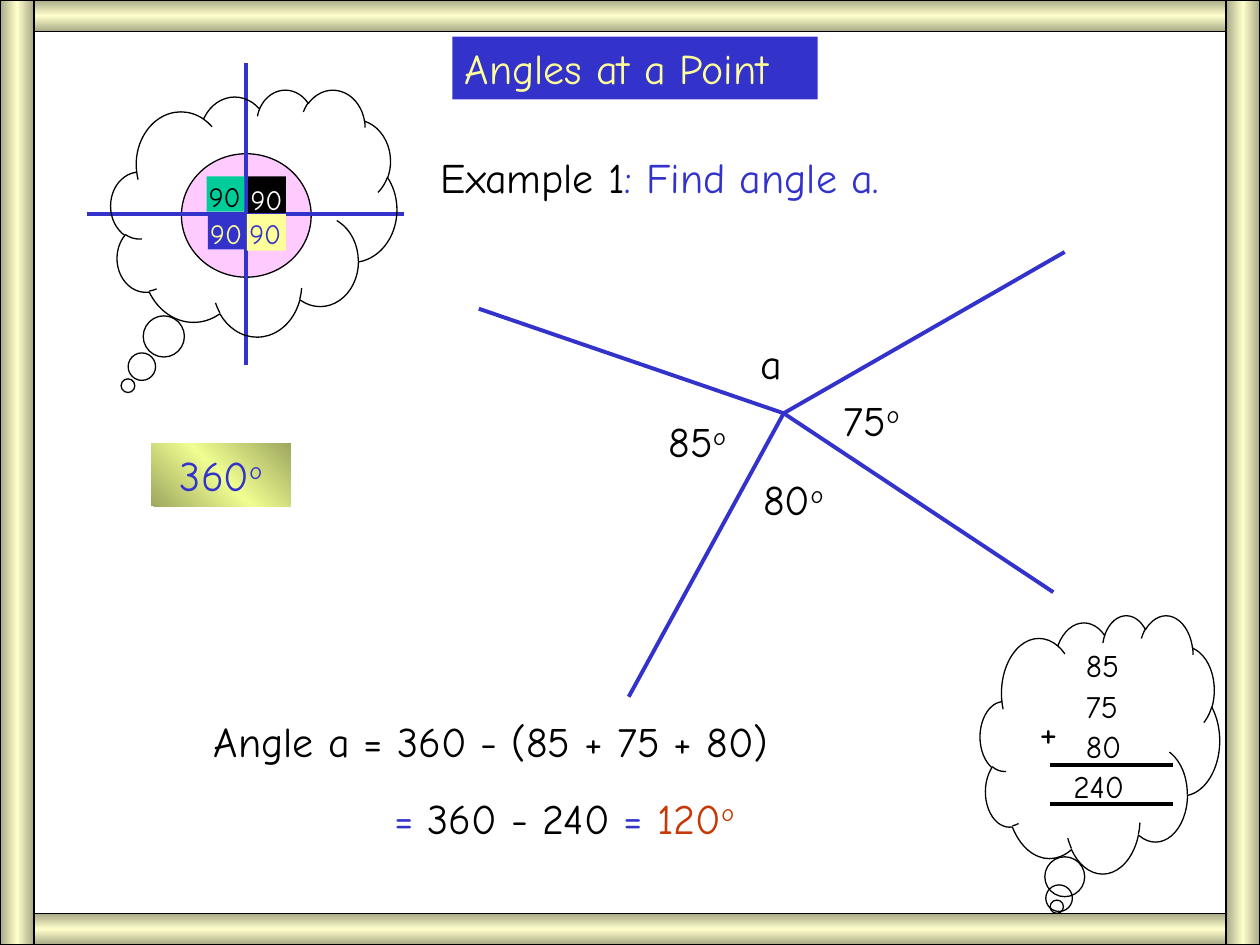
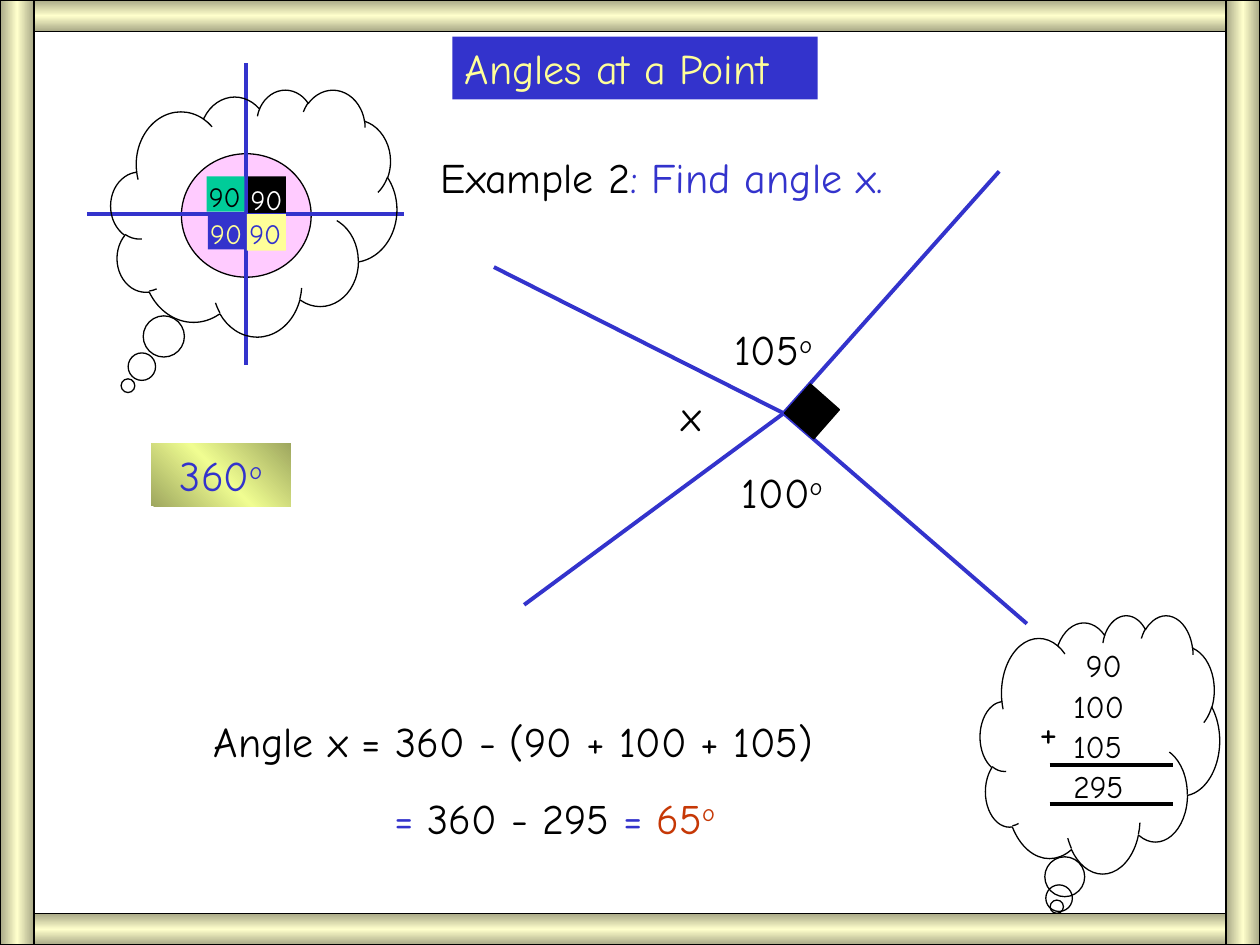
from lxml.etree import SubElement
from pptx import Presentation
from pptx.dml.color import RGBColor
from pptx.enum.shapes import MSO_CONNECTOR, MSO_SHAPE
from pptx.enum.text import MSO_ANCHOR, MSO_AUTO_SIZE, PP_ALIGN
from pptx.oxml.ns import qn
from pptx.util import Inches, Pt

COLORS = {
    "black": "000000",
    "white": "FFFFFF",
    "blue": "3333CC",
    "yellow": "FFFF99",
    "green": "00CC99",
    "pink": "FF99FF",
    "red": "C63806",
    "frame_edge": "A8A886",
    "frame_mid": "FFFFCC",
    "total_edge": "9EA75F",
    "total_mid": "F0FD91",
}
FONT = "Comic Neue"
DEGREE = "o"
POINT = (6.22, 3.28)

EXAMPLES = [
    {
        "number": 1,
        "unknown": "a",
        "known": [85, 75, 80],
        "rays": [(8.45, 2), (8.36, 4.7), (3.8, 2.45), (4.99, 5.53)],
        "labels": [("75", 6.6, 3.08), ("85", 5.21, 3.25), ("80", 5.96, 3.71)],
        "unknown_at": (5.94, 2.63),
        "right_angle": None,
    },
    {
        "number": 2,
        "unknown": "x",
        "known": [90, 100, 105],
        "rays": [(7.93, 1.36), (8.15, 4.95), (3.92, 2.12), (4.16, 4.8)],
        "labels": [("105", 5.73, 2.52), ("100", 5.79, 3.65)],
        "unknown_at": (5.31, 3.04),
        "right_angle": (6.29, 3.11, 0.31, 0.31),
    },
]


class Deck:
    def __init__(self):
        self.prs = Presentation()
        self.prs.slide_width, self.prs.slide_height = Inches(10), Inches(7.5)
        self.s = None

    def rgb(self, name):
        return RGBColor.from_string(COLORS[name])

    def new_slide(self):
        self.s = self.prs.slides.add_slide(self.prs.slide_layouts[6])

    def shape(self, kind, box, fill=None, line=None, alpha=None):
        sp = self.s.shapes.add_shape(kind, *map(Inches, box))
        sp.shadow.inherit = False
        if fill:
            sp.fill.solid()
            sp.fill.fore_color.rgb = self.rgb(fill)
        else:
            sp.fill.background()
        if alpha:
            color = sp.element.spPr.find(".//" + qn("a:srgbClr"))
            SubElement(color, qn("a:alpha")).set("val", str(alpha * 1000))
        if line:
            sp.line.color.rgb = self.rgb(line)
            sp.line.width = Pt(0.75)
        else:
            sp.line.fill.background()
        return sp

    def gradient(self, box, edge, mid, angle, line=None):
        sp = self.shape(MSO_SHAPE.RECTANGLE, box, line=line)
        sp.fill.gradient()
        grad = sp.element.spPr.find(qn("a:gradFill"))
        stops = grad.find(qn("a:gsLst"))
        for stop in list(stops):
            stops.remove(stop)
        for pos, name in ((0, edge), (50, mid), (100, edge)):
            stop = SubElement(stops, qn("a:gs"), pos=str(pos * 1000))
            SubElement(stop, qn("a:srgbClr"), val=COLORS[name])
        grad.find(qn("a:lin")).set("ang", str(angle * 60000))
        return sp

    def line(self, start, end, color="blue"):
        ends = map(Inches, (*start, *end))
        cx = self.s.shapes.add_connector(MSO_CONNECTOR.STRAIGHT, *ends)
        cx.line.color.rgb = self.rgb(color)
        cx.line.width = Pt(2.25)
        SubElement(cx.element.spPr, qn("a:effectLst"))

    def cloud(self, box, tail):
        sp = self.shape(MSO_SHAPE.CLOUD_CALLOUT, box, line="black")
        sp.adjustments[0], sp.adjustments[1] = tail

    def fill_text(self, sp, lines, size=24, align=PP_ALIGN.LEFT):
        tf = sp.text_frame
        tf.word_wrap = True
        tf.auto_size = MSO_AUTO_SIZE.SHAPE_TO_FIT_TEXT
        tf.vertical_anchor = MSO_ANCHOR.TOP
        for i, runs in enumerate(lines):
            p = tf.add_paragraph() if i else tf.paragraphs[0]
            p.alignment = align
            for text, color in runs:
                r = p.add_run()
                r.text = text
                r.font.name = FONT
                r.font.size = Pt(size)
                r.font.color.rgb = self.rgb(color)
                if text == DEGREE:
                    r._r.get_or_add_rPr().set("baseline", "30000")
        return tf

    def text(self, box, *lines, size=24):
        sp = self.s.shapes.add_textbox(*map(Inches, box))
        return self.fill_text(sp, lines, size)

    def frame(self):
        for top in (0, 7.25):
            self.gradient((0, top, 10, 0.25), "frame_edge", "frame_mid", 90, "black")
        for left in (9.73, 0):
            self.gradient((left, 0, 0.27, 7.5), "frame_edge", "frame_mid", 180, "black")

    def title(self, text):
        sp = self.shape(MSO_SHAPE.RECTANGLE, (3.59, 0.29, 2.9, 0.5), "blue")
        self.fill_text(sp, [[(text, "yellow")]])

    def full_turn(self):
        center = (1.95, 1.7)
        self.shape(MSO_SHAPE.OVAL, (1.44, 1.22, 1.03, 0.98), "pink", "black", 50)
        for end in ((1.95, 0.5), (3.21, 1.7), (0.69, 1.7), (1.95, 2.9)):
            self.line(center, end)
        quarters = [
            ((1.64, 1.4, 0.3, 0.28), "green", "black", (1.56, 1.38)),
            ((1.97, 1.4, 0.3, 0.29), "black", "white", (1.89, 1.4)),
            ((1.65, 1.7, 0.29, 0.28), "blue", "yellow", (1.57, 1.67)),
            ((1.96, 1.7, 0.31, 0.29), "yellow", "blue", (1.88, 1.67)),
        ]
        for box, fill, color, at in quarters:
            self.shape(MSO_SHAPE.RECTANGLE, box, fill)
            self.text((*at, 0.49, 0.37), [("90", color)], size=16)
        self.cloud((0.88, 0.71, 2.27, 1.96), (-0.44, 0.7))
        sp = self.gradient((1.2, 3.52, 1.11, 0.5), "total_edge", "total_mid", 135)
        self.fill_text(sp, [[("360", "blue"), (DEGREE, "blue")]], align=PP_ALIGN.CENTER)

    def addition(self, known):
        for i, value in enumerate([*known, sum(known)]):
            number = str(value)
            left, top = 8.72 - 0.1 * len(number), 5.08 + 0.32 * i
            self.text((left, top, 0.83, 0.4), [(number, "black")], size=18)
        self.text((8.15, 5.55, 0.83, 0.5), [("+", "black")])
        for y in (6.07, 6.38):
            self.line((8.33, y), (9.31, y), "black")
        self.cloud((7.78, 4.88, 1.9, 2.05), (-0.18, 0.63))

    def working(self, unknown, known):
        total = sum(known)
        terms = " + ".join(map(str, known))
        tf = self.text(
            (1.6, 5.63, 6.23, 1.11),
            [(f"Angle {unknown} = 360 - ({terms})", "black")],
            [("= ", "blue"), (f"360 - {total}", "black"), (" = ", "blue"),
             (str(360 - total), "red"), (DEGREE, "red")],
        )
        p = tf.paragraphs[1]
        p.space_before = Pt(15)
        p._p.get_or_add_pPr().set("marL", str(Inches(1.43)))

    def diagram(self, example):
        for end in example["rays"]:
            self.line(POINT, end)
        for label, left, top in example["labels"]:
            self.text((left, top, 1, 0.5), [(label, "black"), (DEGREE, "black")])
        self.text((*example["unknown_at"], 0.73, 0.5), [(example["unknown"], "black")])
        if example["right_angle"]:
            sp = self.shape(MSO_SHAPE.RECTANGLE, example["right_angle"], "black", "black")
            sp.rotation = 311.4

    def example_slide(self, example):
        unknown, known = example["unknown"], example["known"]
        self.new_slide()
        self.diagram(example)
        self.text(
            (3.4, 1.15, 4.81, 0.5),
            [(f"Example {example['number']}", "black"),
             (f": Find angle {unknown}.", "blue")],
        )
        self.title("Angles at a Point")
        self.full_turn()
        self.working(unknown, known)
        self.addition(known)
        self.frame()


def main():
    deck = Deck()
    for example in EXAMPLES:
        deck.example_slide(example)
    deck.prs.save("out.pptx")


if __name__ == "__main__":
    main()
